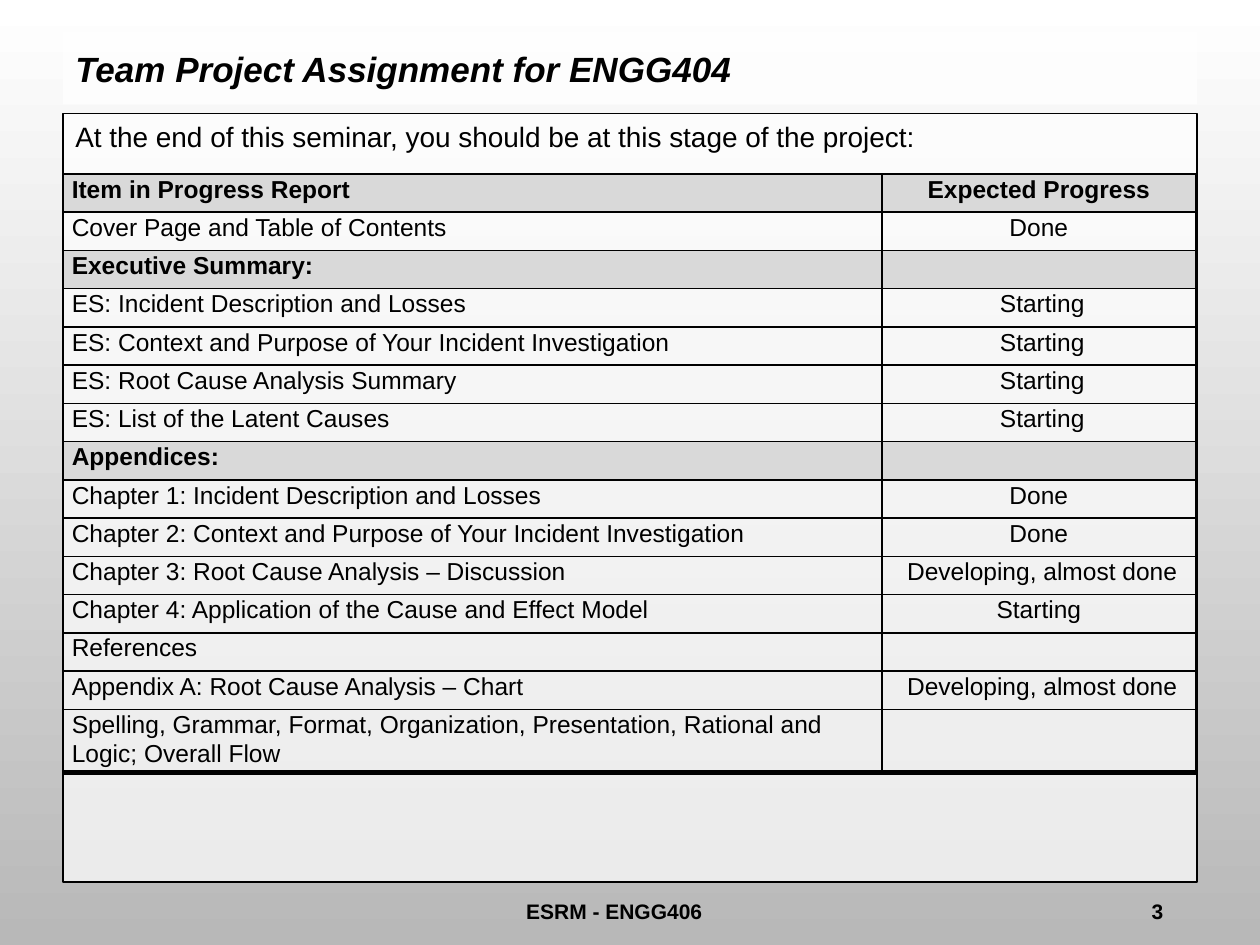
from lxml import etree
from pptx import Presentation
from pptx import util as u
from pptx.dml.color import RGBColor
from pptx.enum import shapes, text
from pptx.oxml import ns

BLACK = RGBColor(0, 0, 0)
WHITE = RGBColor(255, 255, 255)
BAND = RGBColor(0xD9, 0xD9, 0xD9)
GREY = RGBColor(0xB8, 0xB8, 0xB8)
LEFT, CENTER, RIGHT = text.PP_ALIGN.LEFT, text.PP_ALIGN.CENTER, text.PP_ALIGN.RIGHT

ROWS = [
    ("Item in Progress Report", "Expected Progress", True),
    ("Cover Page and Table of Contents", "Done", False),
    ("Executive Summary:", "", True),
    ("ES: Incident Description and Losses", "\u00a0Starting", False),
    ("ES: Context and Purpose of Your Incident Investigation", "\u00a0Starting", False),
    ("ES: Root Cause Analysis Summary", "\u00a0Starting", False),
    ("ES: List of the Latent Causes", "\u00a0Starting", False),
    ("Appendices:", "", True),
    ("Chapter 1: Incident Description and Losses", "Done", False),
    ("Chapter 2: Context and Purpose of Your Incident Investigation", "Done", False),
    ("Chapter 3: Root Cause Analysis – Discussion", "\u00a0Developing, almost done", False),
    ("Chapter 4: Application of the Cause and Effect Model", "Starting", False),
    ("References", "", False),
    ("Appendix A: Root Cause Analysis – Chart", "\u00a0Developing, almost done", False),
    ("Spelling, Grammar, Format, Organization, Presentation, "
     "Rational and Logic; Overall Flow", "", False),
]


def add_run(p, words, size, bold=False, italic=False, align=LEFT):
    """Add one black Arial run to a paragraph and align it."""
    p.alignment = align
    r = p.add_run()
    r.text = words
    r.font.name = "Arial"
    r.font.size = u.Pt(size)
    r.font.bold = bold
    r.font.italic = italic
    r.font.color.rgb = BLACK


def set_background(s):
    """Fill the slide from white at the top to grey at the bottom."""
    fill = s.background.fill
    fill.gradient()
    fill.gradient_angle = 270
    for stop, color, position in zip(fill.gradient_stops, (WHITE, GREY), (0, 1)):
        stop.color.rgb = color
        stop.position = position


def add_panel(s, top, height, anchor, outlined=False):
    """Add a translucent white panel and return its first paragraph."""
    sp = s.shapes.add_shape(shapes.MSO_SHAPE.RECTANGLE, u.Inches(0.5),
                            u.Inches(top), u.Inches(9), u.Inches(height))
    sp.shadow.inherit = False
    sp.fill.solid()
    sp.fill.fore_color.rgb = WHITE
    color = sp.fill._xPr.find(".//" + ns.qn("a:srgbClr"))
    etree.SubElement(color, ns.qn("a:alpha"), val="70000")
    if outlined:
        sp.line.color.rgb = BLACK
        sp.line.width = u.Pt(0.75)
    else:
        sp.line.fill.background()
    tf = sp.text_frame
    tf.word_wrap = True
    tf.vertical_anchor = anchor
    return tf.paragraphs[0]


def add_label(s, left, width, words, align):
    """Add a bold footer label."""
    sp = s.shapes.add_textbox(u.Inches(left), u.Inches(7.08),
                              u.Inches(width), u.Inches(0.25))
    tf = sp.text_frame
    tf.word_wrap = True
    add_run(tf.paragraphs[0], words, 12, bold=True, align=align)


def set_borders(cell, bottom):
    """Draw black cell borders with the given bottom width in points."""
    tcPr = cell._tc.get_or_add_tcPr()
    for side, width in (("L", 1), ("R", 1), ("T", 1), ("B", bottom)):
        ln = etree.SubElement(tcPr, ns.qn("a:ln" + side), w=str(u.Pt(width)))
        fill = etree.SubElement(ln, ns.qn("a:solidFill"))
        etree.SubElement(fill, ns.qn("a:srgbClr"), val=str(BLACK))


def fill_cell(cell, words, banded, align, bottom):
    """Write and style one table cell."""
    set_borders(cell, bottom)
    if banded:
        cell.fill.solid()
        cell.fill.fore_color.rgb = BAND
    else:
        cell.fill.background()
    cell.margin_left = cell.margin_right = u.Inches(0.07)
    cell.margin_top = cell.margin_bottom = 0
    if words:
        p = cell.text_frame.paragraphs[0]
        p.line_spacing = 1.07
        p.space_before = p.space_after = u.Pt(4)
        add_run(p, words, 14, bold=banded, align=align)


def add_progress_table(s):
    """Add the table of report items and their expected progress."""
    height, last_height = 4.75, 0.5
    last = len(ROWS) - 1
    table = s.shapes.add_table(len(ROWS), 2, u.Inches(0.5), u.Inches(1.38),
                               u.Inches(9), u.Inches(height)).table
    table.first_row = table.horz_banding = False
    for column, width in zip(table.columns, (6.5, 2.49)):
        column.width = u.Inches(width)
    for i, (item, progress, banded) in enumerate(ROWS):
        table.rows[i].height = u.Inches(
            last_height if i == last else (height - last_height) / last)
        bottom = 3 if i == last else 1
        fill_cell(table.cell(i, 0), item, banded, LEFT, bottom)
        fill_cell(table.cell(i, 1), progress, banded, CENTER, bottom)


def main():
    """Build the slide and save it."""
    prs = Presentation()
    prs.slide_width, prs.slide_height = u.Inches(10), u.Inches(7.5)
    s = prs.slides.add_slide(prs.slide_layouts[6])
    set_background(s)
    p = add_panel(s, 0.9, 6.1, text.MSO_ANCHOR.TOP, outlined=True)
    pPr = p._p.get_or_add_pPr()
    pPr.set("marL", str(u.Inches(0.67)))
    pPr.set("indent", str(-u.Inches(0.67)))
    add_run(p, "At the end of this seminar, you should be at this stage of the project:", 16)
    add_label(s, 8.33, 1, "3", RIGHT)
    add_label(s, 2.75, 4.25, "ESRM - ENGG406", CENTER)
    add_progress_table(s)
    p = add_panel(s, 0.25, 0.58, text.MSO_ANCHOR.MIDDLE)
    add_run(p, "Team Project Assignment for ENGG404", 20, bold=True, italic=True)
    prs.save("out.pptx")


main()
